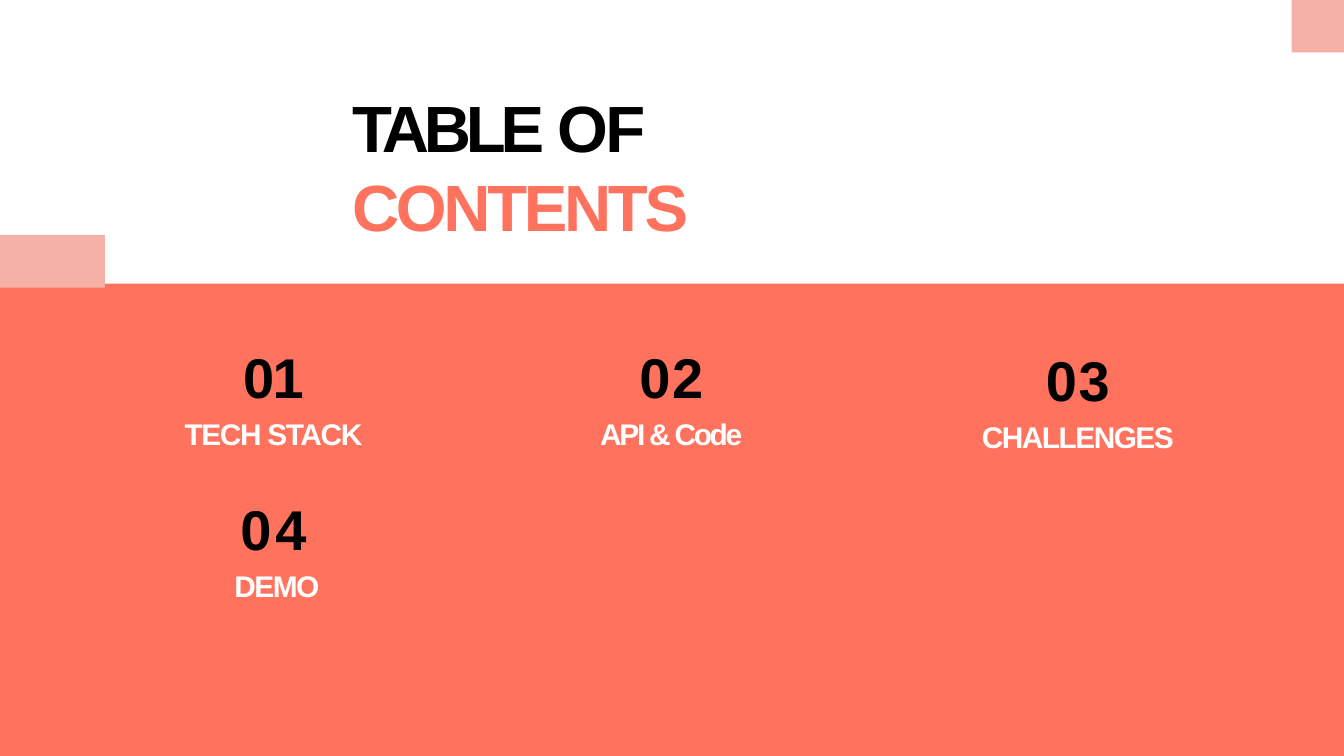
from pptx import Presentation, util as u
from pptx.dml.color import RGBColor
from pptx.enum import shapes, text

COLORS = {"coral": "FF725D", "pink": "F6B1A7", "black": "000000", "white": "FFFFFF"}


def add_block(slide, box, color):
    shape = slide.shapes.add_shape(
        shapes.MSO_SHAPE.RECTANGLE, *[u.Inches(length) for length in box])
    shape.shadow.inherit = False
    shape.fill.solid()
    shape.fill.fore_color.rgb = RGBColor.from_string(COLORS[color])
    shape.line.fill.background()


def set_frame(frame, left_inset, top_inset):
    frame.word_wrap = True
    frame.auto_size = text.MSO_AUTO_SIZE.NONE
    frame.vertical_anchor = text.MSO_ANCHOR.TOP
    frame.margin_left = u.Inches(left_inset)
    frame.margin_top = u.Inches(top_inset)
    frame.margin_right = frame.margin_bottom = 0


def add_run(paragraph, wording, size, color, spacing):
    run = paragraph.add_run()
    run.text = wording
    run.font.name = "Arial"
    run.font.size = u.Pt(size)
    run.font.bold = True
    run.font.color.rgb = RGBColor.from_string(COLORS[color])
    run.font._element.set("spc", str(round(spacing * 100)))


def add_title(slide, box):
    title = slide.shapes.title
    title.left, title.top, title.width, title.height = [u.Inches(length) for length in box]
    set_frame(title.text_frame, 0.01, 0.01)
    paragraph = title.text_frame.paragraphs[0]
    paragraph.alignment = text.PP_ALIGN.LEFT
    paragraph.space_before = u.Pt(1)
    paragraph.line_spacing = 1.0
    add_run(paragraph, "TABLE ", 35, "black", -2.8)
    add_run(paragraph, "OF ", 35, "black", -1.5)
    add_run(paragraph, "CONTENTS", 35, "coral", -1.8)


def add_entries(slide, box, entries):
    shape = slide.shapes.add_textbox(*[u.Inches(length) for length in box])
    frame = shape.text_frame
    set_frame(frame, 0, 0.09)
    for index, (number, number_spacing, label, label_spacing) in enumerate(entries):
        heading = frame.add_paragraph() if index else frame.paragraphs[0]
        heading.space_before = u.Pt(23.3 if index else 6.6)
        add_run(heading, number, 30, "black", number_spacing)
        caption = frame.add_paragraph()
        caption.space_before = u.Pt(3)
        add_run(caption, label, 16, "white", label_spacing)
        heading.alignment = caption.alignment = text.PP_ALIGN.CENTER


def add_contents_slide(presentation):
    slide = presentation.slides.add_slide(presentation.slide_layouts[5])
    add_block(slide, (0, 2.11, 10, 3.69), "coral")
    add_block(slide, (9.61, 0, 0.39, 0.39), "pink")
    add_block(slide, (0, 1.75, 0.78, 0.39), "pink")
    add_title(slide, (2.61, 0.64, 4.78, 0.61))
    columns = [
        ((1.31, 2.46, 1.45, 2.05),
         [("01", -0.8, "TECH STACK", -0.7), ("04", 2, " DEMO", -0.8)]),
        ((4.26, 2.46, 1.47, 0.91), [("02", 0.9, "API & Code", -1.2)]),
        ((7.29, 2.48, 1.46, 0.91), [("03", 0.9, "CHALLENGES", -0.8)]),
    ]
    for box, entries in columns:
        add_entries(slide, box, entries)


presentation = Presentation()
presentation.slide_width = u.Inches(10)
presentation.slide_height = presentation.slide_width * 9 // 16
add_contents_slide(presentation)
presentation.save("out.pptx")
